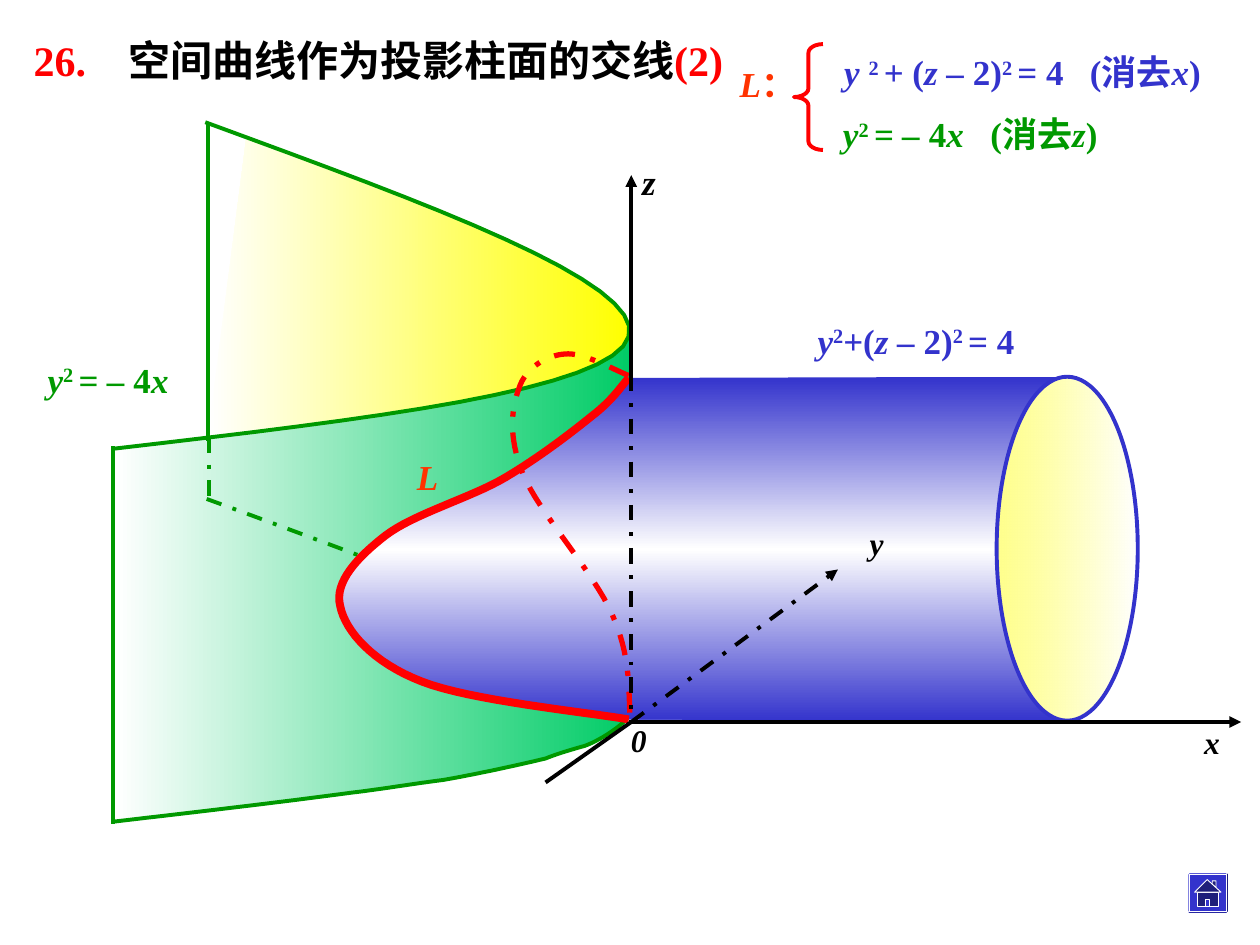
import math
from dataclasses import dataclass

import lxml.etree
import pptx
import pptx.dml.color
import pptx.enum.dml
import pptx.enum.shapes
import pptx.enum.text
import pptx.oxml.ns
import pptx.util

RGBColor = pptx.dml.color.RGBColor
Cm = pptx.util.Cm
SHAPE = pptx.enum.shapes.MSO_SHAPE
ALIGN = pptx.enum.text.PP_ALIGN
qn = pptx.oxml.ns.qn

BLACK = RGBColor(0x00, 0x00, 0x00)
WHITE = RGBColor(0xFF, 0xFF, 0xFF)
RED = RGBColor(0xFF, 0x00, 0x00)
ORANGE = RGBColor(0xFF, 0x33, 0x00)
BLUE = RGBColor(0x33, 0x33, 0xCC)
NAVY = RGBColor(0x1F, 0x1F, 0x7A)
GREEN = RGBColor(0x00, 0x99, 0x00)
MINT = RGBColor(0x00, 0xCC, 0x66)
YELLOW = RGBColor(0xFF, 0xFF, 0x00)
CREAM = RGBColor(0xFF, 0xFF, 0x66)

SQUARE = 2.54  # cm per grid square; positions within a region count squares
TEXT_FORMAT = {"name": "Times New Roman", "bold": True}


@dataclass
class Box:
    """A region of the slide, with its corner in cm."""
    left: float
    top: float

    def point(self, x, y):
        return Cm(self.left + x * SQUARE), Cm(self.top + y * SQUARE)

    def frame(self, x, y, width, height):
        return *self.point(x, y), Cm(width * SQUARE), Cm(height * SQUARE)


def outline(shape, color, width, dashed=False):
    shape.line.color.rgb = color
    shape.line.width = pptx.util.Pt(width)
    if dashed:
        shape.line.dash_style = pptx.enum.dml.MSO_LINE.DASH_DOT


def paint(shape, color=None, stops=None, angle=0):
    """Fill with one colour, with (percent, colour, opacity) stops, or not at all."""
    shape.shadow.inherit = False
    if stops:
        shape.fill.gradient()
        shape.fill.gradient_angle = angle
        stop_list = next(shape._element.iter(qn("a:gsLst")))
        for stop in list(stop_list):
            stop_list.remove(stop)
        for percent, stop_color, opacity in stops:
            stop = lxml.etree.SubElement(stop_list, qn("a:gs"), pos=str(percent * 1000))
            tint = lxml.etree.SubElement(stop, qn("a:srgbClr"), val=str(stop_color))
            if opacity < 100:
                lxml.etree.SubElement(tint, qn("a:alpha"), val=str(opacity * 1000))
    elif color is not None:
        shape.fill.solid()
        shape.fill.fore_color.rgb = color
    else:
        shape.fill.background()


def curve(start, *segments, steps=16):
    """Points along joined cubic curves; a segment is two controls and an end."""
    points = [start]
    for x1, y1, x2, y2, x3, y3 in segments:
        x0, y0 = points[-1]
        for step in range(1, steps + 1):
            t = step / steps
            a, b, c, d = (1 - t) ** 3, 3 * t * (1 - t) ** 2, 3 * t * t * (1 - t), t ** 3
            points.append((a * x0 + b * x1 + c * x2 + d * x3,
                           a * y0 + b * y1 + c * y2 + d * y3))
    return points


def add_path(page, box, points, closed=False):
    places = [box.point(*point) for point in points]
    builder = page.shapes.build_freeform(*places[0])
    builder.add_line_segments(places[1:], close=closed)
    return builder.convert_to_shape()


def add_stroke(page, box, points, color, width, dashed=False):
    stroke = add_path(page, box, points)
    paint(stroke)
    outline(stroke, color, width, dashed)


def add_area(page, box, points, stops, angle=0):
    area = add_path(page, box, points, closed=True)
    paint(area, stops=stops, angle=angle)
    area.line.fill.background()


def add_line(page, box, start, end, color, dashed=False, arrow=False):
    line = page.shapes.add_connector(pptx.enum.shapes.MSO_CONNECTOR.STRAIGHT,
                                     *box.point(*start), *box.point(*end))
    outline(line, color, 2.25, dashed)
    if arrow:
        lxml.etree.SubElement(line.line._get_or_add_ln(), qn("a:tailEnd"), type="triangle")
    lxml.etree.SubElement(line._element.spPr, qn("a:effectLst"))


def add_label(page, box, frame, color, spans, size=20, align=ALIGN.LEFT, tab=None):
    """Spans are (text, style[, colour]); style i is italic and ^ superscript."""
    label = page.shapes.add_textbox(*box.frame(*frame)).text_frame
    label.word_wrap = True
    label.vertical_anchor = pptx.enum.text.MSO_ANCHOR.MIDDLE
    if align == ALIGN.LEFT:
        label.margin_right = 0
    para = label.paragraphs[0]
    para.alignment = align
    if tab:
        tabs = lxml.etree.SubElement(para._p.get_or_add_pPr(), qn("a:tabLst"))
        lxml.etree.SubElement(tabs, qn("a:tab"), pos=str(Cm(tab * SQUARE)), algn="l")
    for text, style, *own_color in spans:
        span = para.add_run()
        span.text = text
        values = {**TEXT_FORMAT, "size": pptx.util.Pt(size), "italic": style == "i"}
        for name, value in values.items():
            setattr(span.font, name, value)
        span.font.color.rgb = own_color[0] if own_color else color
        if style == "^":
            span._r.get_or_add_rPr().set("baseline", "30000")


def add_title(page, box):
    add_label(page, box, (0, 0, 5.78, 0.61), RED,
              [("26.\t", ""), ("空间曲线作为投影柱面的交线", "", BLACK), ("(2)", "")],
              size=24, tab=0.75)


def add_equations(page, box):
    add_label(page, box, (0, 0.09, 0.71, 0.44), ORANGE, [("L", "i"), ("：", "")])
    brace = page.shapes.add_shape(SHAPE.LEFT_BRACE, *box.frame(0.53, 0, 0.23, 0.84))
    brace.adjustments[0] = 0.3
    paint(brace)
    outline(brace, RED, 2.25)
    add_label(page, box, (0.82, 0.49, 2.35, 0.44), GREEN,
              [("y", "i"), ("2 ", "^"), ("= –", "i"), (" 4", ""), ("x\t", "i"),
               ("(消去", ""), ("z", "i"), (")", "")], tab=1.17)
    add_label(page, box, (0.83, 0, 3.16, 0.44), BLUE,
              [("y ", "i"), ("2 ", "^"), ("+ (", ""), ("z – ", "i"), ("2)", ""),
               ("2 ", "^"), ("= 4\t(消去", ""), ("x", "i"), (")", "")], tab=1.95)


def add_surfaces(page, box):
    # Parabolic cylinder
    back_rim = curve((0.63, -0.03), (2.37, 0.61, 4.12, 1.24, 3.99, 1.67))
    front_rim = curve((3.99, 1.67), (3.87, 2.1, 1.89, 2.33, -0.09, 2.56))
    bottom_rim = curve((-0.09, 5.52), (0.6, 5.44, 1.2, 5.37, 1.8, 5.29),
                       (2.05, 5.26, 2.28, 5.22, 2.52, 5.19),
                       (2.75, 5.15, 3.08, 5.08, 3.33, 5.02),
                       (3.38, 5, 3.46, 4.97, 3.64, 4.92),
                       (3.76, 4.88, 4.01, 4.72, 4.01, 4.64))
    back_face = [p for p in back_rim + front_rim if p[0] >= 0.64] + [(0.65, 2.47)]
    add_area(page, box, back_face, [(0, WHITE, 100), (100, YELLOW, 100)])
    add_area(page, box, front_rim + bottom_rim, [(0, WHITE, 100), (100, MINT, 100)])
    add_stroke(page, box, back_rim + front_rim[1:], GREEN, 2.25)
    hidden_edge = curve((0.64, 2.96), (1.38, 3.23, 2.12, 3.51, 2.56, 3.68))
    add_stroke(page, box, hidden_edge, GREEN, 2.25, dashed=True)
    add_stroke(page, box, bottom_rim, GREEN, 2.25)
    for x, top, bottom, dashed in ((-0.1, 2.54, 5.54, False), (4.01, 1.66, 4.69, False),
                                   (0.65, -0.02, 2.5, False), (0.66, 2.47, 2.98, True)):
        add_line(page, box, (x, top), (x, bottom), GREEN, dashed)

    # Circular cylinder, cut off on the left by the curve L
    front_curve = curve((3.99, 2), (3.94, 2.05, 3.87, 2.17, 3.7, 2.3),
                        (3.54, 2.43, 3.28, 2.63, 3.01, 2.79),
                        (2.74, 2.95, 2.28, 3.08, 2.06, 3.25),
                        (1.84, 3.42, 1.65, 3.62, 1.7, 3.81),
                        (1.74, 4.01, 1.96, 4.26, 2.35, 4.41),
                        (2.73, 4.56, 3.64, 4.65, 3.99, 4.71))
    angles = [math.pi * (0.5 + step / 24) for step in range(25)]
    end_arc = [(7.47 + 0.56 * math.cos(a), 3.36 + 1.37 * math.sin(a)) for a in angles]
    add_area(page, box, front_curve + end_arc,
             [(0, BLUE, 100), (50, WHITE, 100), (100, BLUE, 100)], angle=90)
    end = page.shapes.add_shape(SHAPE.OVAL, *box.frame(6.91, 1.99, 1.12, 2.73))
    paint(end, stops=[(0, CREAM, 75), (100, WHITE, 100)])
    outline(end, BLUE, 2.25)

    # Intersection curve L, visible and hidden halves
    add_stroke(page, box, front_curve, RED, 4.5)
    back_curve = curve((3.99, 1.98), (3.9, 1.95, 3.63, 1.79, 3.48, 1.81),
                       (3.34, 1.82, 3.17, 1.92, 3.12, 2.08),
                       (3.06, 2.24, 3.03, 2.46, 3.15, 2.76),
                       (3.27, 3.06, 3.72, 3.55, 3.86, 3.88),
                       (4, 4.2, 3.99, 4.43, 4, 4.73))
    add_stroke(page, box, back_curve, RED, 3, dashed=True)

    # Names of the curve and surfaces
    add_label(page, box, (2.21, 2.56, 0.37, 0.44), ORANGE, [("L", "i")])
    add_label(page, box, (5.39, 1.48, 1.76, 0.44), BLUE,
              [("y", "i"), ("2", "^"), ("+(", ""), ("z – ", "i"), ("2)", ""),
               ("2 ", "^"), ("= 4", "")])
    add_label(page, box, (-0.72, 1.79, 1.37, 0.44), GREEN,
              [("y", "i"), ("2 ", "^"), ("= –", "i"), (" 4", ""), ("x", "i")])


def add_axes(page, box):
    origin = (4.01, 4.73)
    for start, end, dashed, arrow in ((origin, (8.85, 4.73), False, True),
                                      (origin, (5.65, 3.52), True, True),
                                      (origin, (3.33, 5.21), False, False),
                                      ((4.01, 1.99), (4.01, 0.39), False, True),
                                      ((4.01, 1.98), origin, True, False)):
        add_line(page, box, start, end, BLACK, dashed, arrow)
    for name, frame, size, align in (("x", (8.28, 4.69, 0.5, 0.4), 18, ALIGN.RIGHT),
                                     ("y", (5.72, 3.11, 0.39, 0.4), 18, ALIGN.RIGHT),
                                     ("z", (3.91, 0.22, 0.48, 0.44), 20, ALIGN.CENTER),
                                     ("0", (3.71, 4.67, 0.72, 0.4), 18, ALIGN.CENTER)):
        add_label(page, box, frame, BLACK, [(name, "i")], size, align)


def add_home_button(page, box):
    button = page.shapes.add_shape(SHAPE.BEVEL, *box.frame(0, 0, 0.33, 0.33))
    button.adjustments[0] = 0.06
    paint(button, BLUE)
    outline(button, WHITE, 0.5)
    chimney = [(0.2, 0.1), (0.2, 0.07), (0.23, 0.07), (0.23, 0.12)]
    walls = [(0.08, 0.16), (0.25, 0.16), (0.25, 0.27), (0.08, 0.27)]
    roof = [(0.16, 0.06), (0.27, 0.16), (0.06, 0.16)]
    door = [(0.15, 0.22), (0.18, 0.22), (0.18, 0.27), (0.15, 0.27)]
    for points, color in ((chimney, NAVY), (walls, NAVY), (roof, NAVY), (door, BLUE)):
        part = add_path(page, box, points, closed=True)
        paint(part, color)
        outline(part, WHITE, 0.5)


def main():
    deck = pptx.Presentation()
    deck.slide_width, deck.slide_height = Cm(25.4), Cm(19.05)
    page = deck.slides.add_slide(deck.slide_layouts[6])
    add_title(page, Box(0.43, 0.43))
    add_equations(page, Box(14.66, 0.89))
    diagram = Box(2.54, 2.54)
    add_surfaces(page, diagram)
    add_axes(page, diagram)
    add_home_button(page, Box(23.93, 17.58))
    deck.save("out.pptx")


if __name__ == "__main__":
    main()
